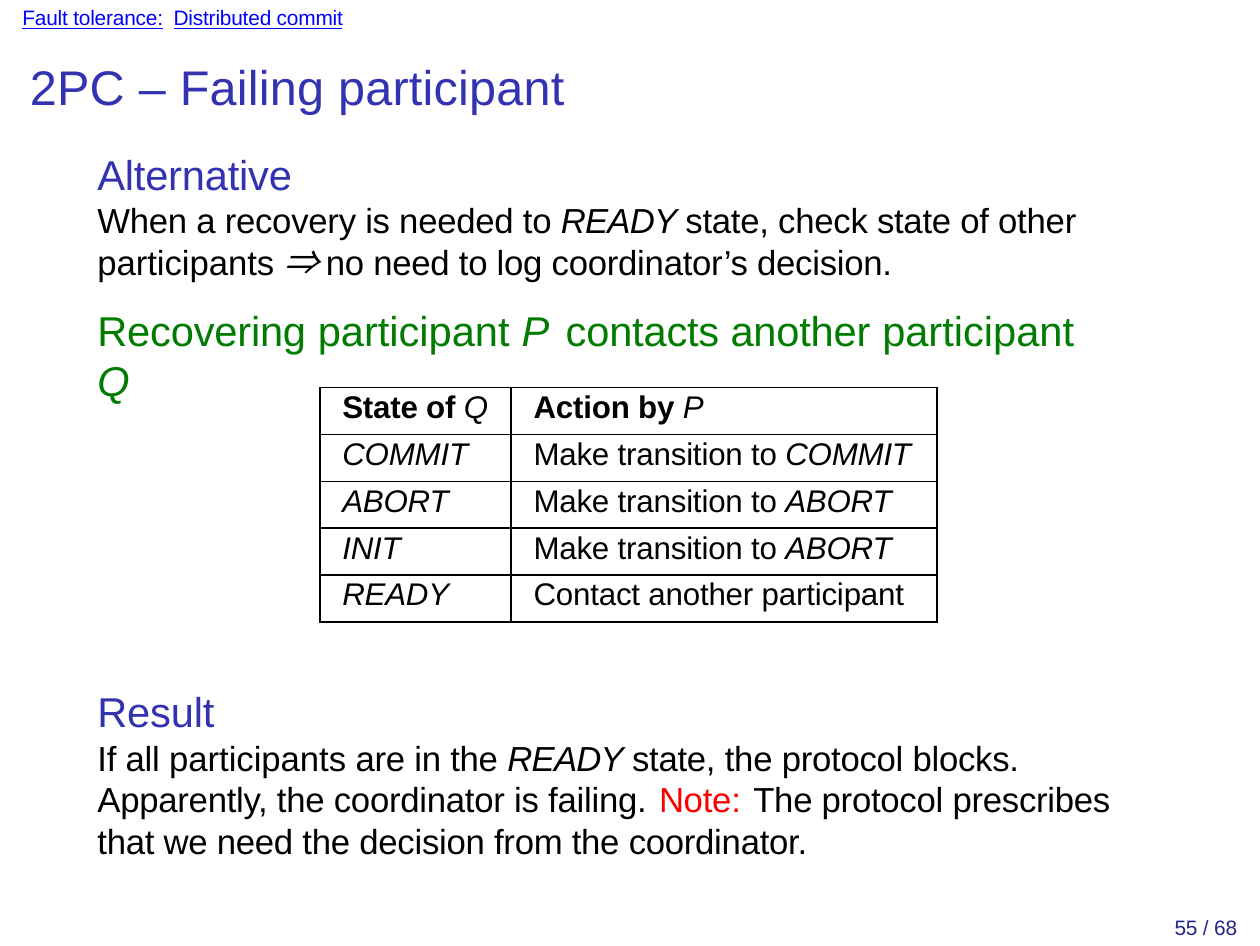
from lxml import etree
from pptx import Presentation
from pptx import util as u
from pptx.dml.color import RGBColor
from pptx.oxml import ns

BLUE = RGBColor(0x33, 0x33, 0xB2)
NAVY = RGBColor(0x26, 0x26, 0x85)
LINK = RGBColor(0x00, 0x00, 0xFF)
GREEN = RGBColor(0x00, 0x7C, 0x00)
RED = RGBColor(0xFA, 0x00, 0x00)
BLACK = RGBColor(0x00, 0x00, 0x00)
SANS = "Arial"
SYMBOL = "Noto Sans CJK JP"
READY = {"space": -0.2, "italic": True}
ROWS = [
    (["State of ", "Q"], ["Action by ", "P"]),
    (["", "COMMIT"], ["Make transition to ", "COMMIT"]),
    (["", "ABORT"], ["Make transition to ", "ABORT"]),
    (["", "INIT"], ["Make transition to ", "ABORT"]),
    (["", "READY"], ["Contact another participant"]),
]


def add_run(para, words, space=-0.05, italic=None, bold=None, line=None, color=None, face=None):
    """Add one run with its letter spacing in points and its own styles."""
    run = para.add_run()
    run.text = words
    font = run.font
    font.italic, font.bold, font.underline = italic, bold, line
    if color is not None:
        font.color.rgb = color
    props = run._r.get_or_add_rPr()
    props.set("spc", str(round(space * 100)))
    if face:
        font.name = face
        etree.SubElement(props, ns.qn("a:ea")).set("typeface", face)


def write(para, runs, size, color, pitch=None, gap=0):
    """Fill a paragraph with (words, styles) runs in one size and colour."""
    for words, style in runs:
        add_run(para, words, **style)
    font = para.font
    font.name, font.size = SANS, u.Pt(size)
    font.color.rgb = color
    para.space_before = u.Pt(gap)
    if pitch:
        para.line_spacing = u.Pt(pitch)


def add_text(slide, box, paras, top=0.02, left=0.02):
    """Place a text box holding a list of paragraph settings."""
    frame = slide.shapes.add_textbox(*map(u.Inches, box)).text_frame
    frame.word_wrap = True
    frame.margin_left, frame.margin_top = u.Inches(left), u.Inches(top)
    frame.margin_right = frame.margin_bottom = 0
    for i, para in enumerate(paras):
        write(frame.add_paragraph() if i else frame.paragraphs[0], *para)


def add_borders(cell):
    """Draw thin black lines round a cell and leave it unfilled."""
    props = cell._tc.get_or_add_tcPr()
    for side in ("lnL", "lnR", "lnT", "lnB"):
        line = etree.SubElement(props, ns.qn(f"a:{side}"), w=str(u.Pt(0.5)))
        fill = etree.SubElement(line, ns.qn("a:solidFill"))
        etree.SubElement(fill, ns.qn("a:srgbClr"), val=str(BLACK))
    cell.fill.background()


def add_states(slide, box):
    """Place the table of states and actions."""
    table = slide.shapes.add_table(len(ROWS), 2, *map(u.Inches, box)).table
    for col, share in zip(table.columns, (0.31, 0.69)):
        col.width = u.Inches(box[2] * share)
    for i, row in enumerate(ROWS):
        for j, parts in enumerate(row):
            cell = table.cell(i, j)
            cell.margin_left, cell.margin_top = u.Inches(0.09), u.Inches(0.01)
            cell.margin_right = cell.margin_bottom = 0
            runs = [(words, {"italic": k == 1, "bold": i == 0 and k == 0})
                    for k, words in enumerate(parts) if words]
            write(cell.text_frame.paragraphs[0], runs, 9, BLACK)
            add_borders(cell)


def add_head(slide, box):
    """Place the section links and the title at the top."""
    x, y, wide, high = box
    links = [("Fault tolerance:", {"line": True}), (" ", {"space": 1.4}),
             ("Distributed commit", {"line": True})]
    add_text(slide, (x, y, wide, 0.13), [(links, 6, LINK)])
    title = [("2PC – Failing participant", {"space": 0.07})]
    add_text(slide, (x + 0.03, y + 0.21, wide, high - 0.21), [(title, 14, BLUE)])


def add_option(slide, box):
    """Place the alternative and the heading of the table."""
    body = [
        ("When a recovery is needed to ", {}), ("READY ", READY),
        ("state, check state of other ", {}), ("participants ", {"space": 0}),
        ("⇒ ", {"italic": True, "face": SYMBOL}),
        ("no need to log coordinator’s decision.", {}),
    ]
    lead = [
        ("Recovering", {}), (" participant ", {"space": 0}),
        ("P", {"italic": True}), (" ", {"space": 1.4}), ("contacts another", {}),
        (" participant ", {"space": 0}), ("Q", {"italic": True}),
    ]
    add_text(slide, box, [([("Alternative", {})], 12, BLUE, 14.1),
                          (body, 10, BLACK, 12, 0.1),
                          (lead, 12, GREEN, None, 6.5)])


def add_result(slide, box):
    """Place the result."""
    body = [
        ("If all ", {}), ("participants ", {"space": 0}), ("are in the ", {}),
        ("READY ", READY),
        ("state, the protocol blocks. Apparently, the coordinator is failing.", {}),
        (" ", {"space": 0.8}), ("Note:", {"color": RED}), (" ", {"space": 0.8}),
        ("The protocol prescribes that we need the decision from the coordinator.", {}),
    ]
    add_text(slide, box, [([("Result", {})], 12, BLUE, 14.1),
                          (body, 10, BLACK, 12, 0.1)], 0.01, 0.01)


def main():
    """Build and save the slide."""
    deck = Presentation()
    deck.slide_width, deck.slide_height = u.Pt(363), u.Pt(272.5)
    slide = deck.slides.add_slide(deck.slide_layouts[6])
    add_head(slide, (0.07, 0, 2.2, 0.48))
    add_option(slide, (0.37, 0.58, 4, 0.85))
    add_states(slide, (1.28, 1.55, 2.47, 0.94))
    add_result(slide, (0.38, 2.74, 4.12, 0.72))
    add_text(slide, (4.66, 3.64, 0.31, 0.13), [([("55 / 68", {})], 6, NAVY)], left=0.04)
    deck.save("out.pptx")


if __name__ == "__main__":
    main()
